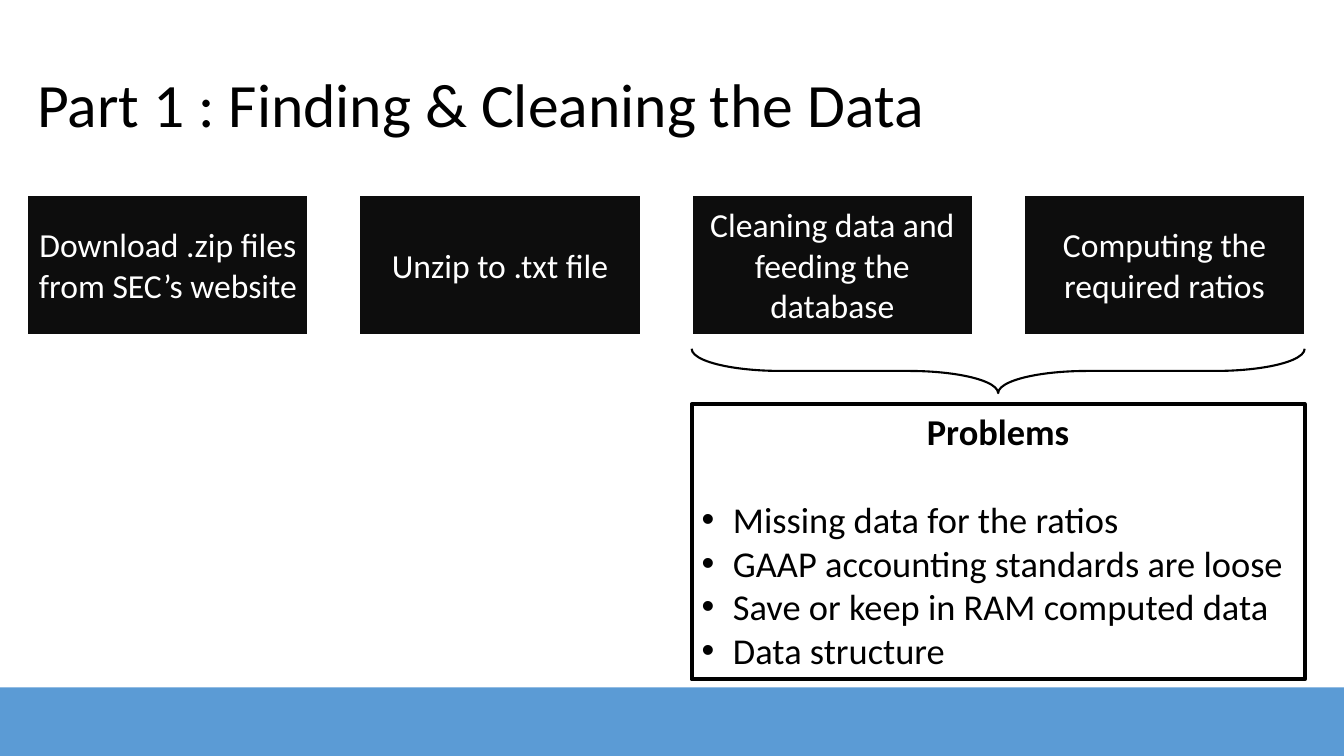
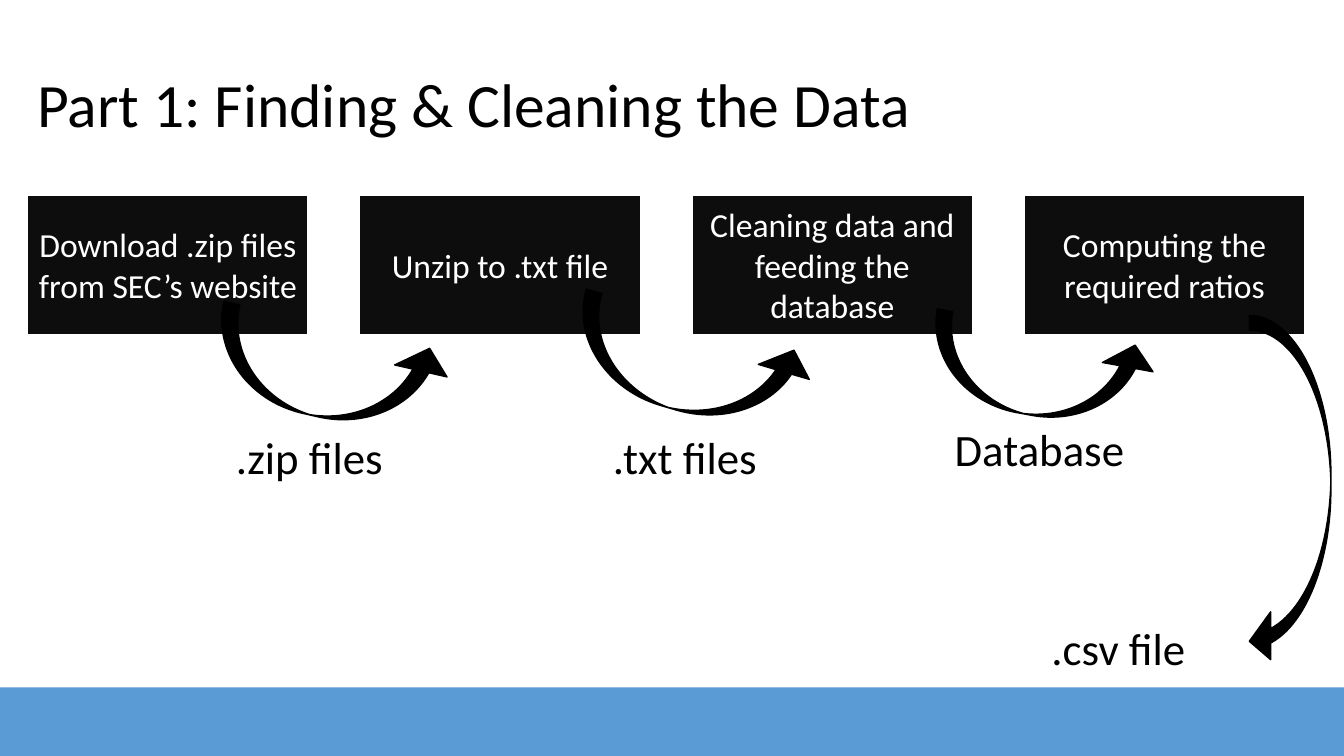
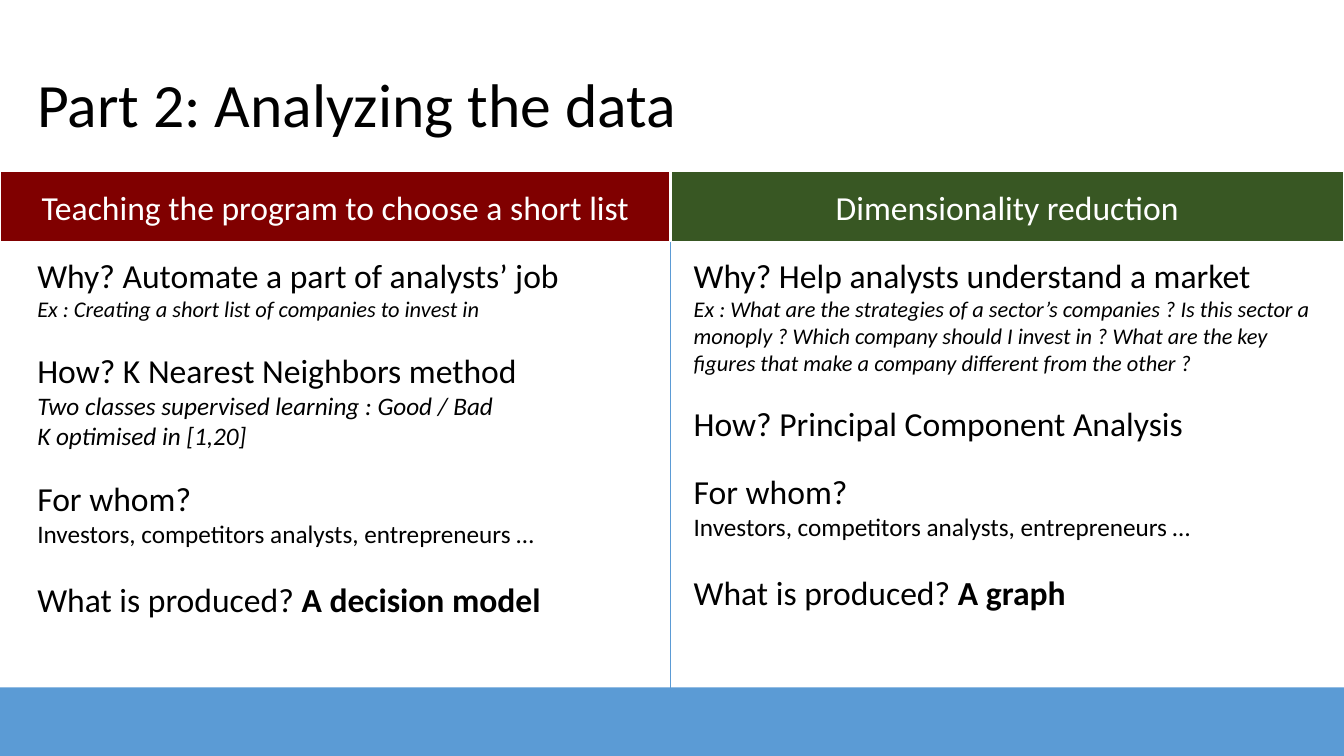
from lxml.etree import SubElement
from pptx import Presentation
from pptx.dml.color import RGBColor
from pptx.enum.shapes import MSO_CONNECTOR, MSO_SHAPE as SHAPE
from pptx.enum.text import MSO_ANCHOR as ANCHOR, MSO_AUTO_SIZE, PP_ALIGN as ALIGN
from pptx.oxml.ns import qn
from pptx.util import Inches, Pt

FONT = "Calibri"
BLACK = RGBColor(0x00, 0x00, 0x00)
WHITE = RGBColor(0xFF, 0xFF, 0xFF)
STEP_BLACK = RGBColor(0x0D, 0x0D, 0x0D)
BLUE = RGBColor(0x5B, 0x9B, 0xD5)
DARK_RED = RGBColor(0x80, 0x00, 0x00)
DARK_GREEN = RGBColor(0x38, 0x57, 0x23)

SLIDE_WIDTH, SLIDE_HEIGHT = 13.33, 7.5
BAND_TOP = 6.82
MARGIN = 0.27


def add_text(frame, text, size=24, color=BLACK, bold=False, italic=False,
             align=ALIGN.LEFT, before=0, line_spacing=1.0, bullet=False, bold_end=""):
    """Write one paragraph, reusing the empty first paragraph of the frame."""
    frame.word_wrap = True
    frame.auto_size = MSO_AUTO_SIZE.NONE
    paragraph = frame.paragraphs[0]
    if paragraph.runs:
        paragraph = frame.add_paragraph()
    properties = paragraph._p.get_or_add_pPr()
    indent = Inches(0.31) if bullet else 0
    properties.set("marL", str(indent))
    properties.set("indent", str(-indent))
    if bullet:
        SubElement(properties, qn("a:buFont")).set("typeface", "Arial")
        SubElement(properties, qn("a:buChar")).set("char", "•")
    else:
        SubElement(properties, qn("a:buNone"))
    paragraph.alignment = align
    paragraph.space_before = Pt(before)
    paragraph.line_spacing = line_spacing
    for part, is_bold in ((text, bold), (bold_end, True)):
        if part:
            run = paragraph.add_run()
            run.text = part
            run.font.name = FONT
            run.font.size = Pt(size)
            run.font.bold = is_bold
            run.font.italic = italic
            run.font.color.rgb = color


def add_filled(slide, kind, left, top, width, height, fill, line=None, line_width=1.5, text=""):
    """Add a flat shape, with centred white text if any."""
    shape = slide.shapes.add_shape(kind, Inches(left), Inches(top), Inches(width), Inches(height))
    shape.shadow.inherit = False
    if fill is None:
        shape.fill.background()
    else:
        shape.fill.solid()
        shape.fill.fore_color.rgb = fill
    if line is None:
        shape.line.fill.background()
    else:
        shape.line.color.rgb = line
        shape.line.width = Pt(line_width)
    if text:
        shape.text_frame.vertical_anchor = ANCHOR.MIDDLE
        add_text(shape.text_frame, text, color=WHITE, align=ALIGN.CENTER)
    return shape


presentation = Presentation()
presentation.slide_width = Inches(SLIDE_WIDTH)
presentation.slide_height = Inches(SLIDE_HEIGHT)

# Shared title and bottom band; layouts: title and content, title only, two content
slides = []
for layout, heading in ((1, "Part 1 : Finding & Cleaning the Data"),
                        (5, "Part 1: Finding & Cleaning the Data"),
                        (3, "Part 2: Analyzing the data")):
    slide = presentation.slides.add_slide(presentation.slide_layouts[layout])
    title = slide.shapes.title
    title.left, title.top = Inches(MARGIN), Inches(0.39)
    title.width, title.height = Inches(11.5), Inches(1.06)
    title.text_frame.vertical_anchor = ANCHOR.BOTTOM
    add_text(title.text_frame, heading, size=44, line_spacing=0.9)
    add_filled(slide, SHAPE.RECTANGLE, 0, BAND_TOP, SLIDE_WIDTH, SLIDE_HEIGHT - BAND_TOP, BLUE)
    slides.append(slide)
problems_slide, files_slide, analysis_slide = slides

# Four process steps on both slides of part 1
STEPS = ("Download .zip files from SEC’s website", "Unzip to .txt file",
         "Cleaning data and feeding the database", "Computing the required ratios")
for slide in (problems_slide, files_slide):
    for index, step in enumerate(STEPS):
        add_filled(slide, SHAPE.RECTANGLE, MARGIN + 3.295 * index, 1.93, 2.79, 1.39,
                   STEP_BLACK, WHITE, text=step)

# Slide 1: brace and problem list
brace = add_filled(problems_slide, SHAPE.LEFT_BRACE, 9.68, 0.64, 0.44, 6.08, None, BLACK)
brace.rotation = 270
brace.adjustments[0] = 2.01

problems = problems_slide.placeholders[1]
problems.left, problems.top = Inches(6.86), Inches(4.01)
problems.width, problems.height = Inches(6.08), Inches(2.73)
problems.line.color.rgb = BLACK
problems.line.width = Pt(3)
add_text(problems.text_frame, "Problems", size=26, bold=True, align=ALIGN.CENTER)
for index, problem in enumerate(("Missing data for the ratios",
                                 "GAAP accounting standards are loose",
                                 "Save or keep in RAM computed data",
                                 "Data structure")):
    add_text(problems.text_frame, problem, size=26, bullet=True, before=0 if index else 31.7)

# Slide 2: curved arrows and the file each step hands on
for left, top, width, height, angle in ((2.09, 3.24, 2.36, 0.91, 12.9),
                                        (5.64, 3.19, 2.41, 0.9, 16.4),
                                        (9.2, 3.26, 2.25, 0.87, 10.4),
                                        (11.06, 4.46, 3.47, 0.81, 270)):
    arrow = add_filled(files_slide, SHAPE.CURVED_UP_ARROW, left, top, width, height,
                       BLACK, BLACK, line_width=1)
    arrow.rotation = angle
    for index, value in enumerate((0.178, 0.586, 0.262)):
        arrow.adjustments[index] = value
    if angle == 270:
        arrow._element.spPr.xfrm.set("flipH", "1")

for label, left, top in ((".zip files", 2.24, 4.21), (".txt files", 5.98, 4.21),
                         ("Database", 9.37, 4.13), (".csv file", 10.33, 6.11)):
    box = files_slide.shapes.add_textbox(Inches(left), Inches(top), Inches(2.28), Inches(0.64))
    add_text(box.text_frame, label, size=32)

# Slide 3: two coloured headings, a divider and two columns
DIVIDER = 6.65
add_filled(analysis_slide, SHAPE.RECTANGLE, 0, 1.7, DIVIDER, 0.7, DARK_RED, WHITE,
           text="Teaching the program to choose a short list")
add_filled(analysis_slide, SHAPE.RECTANGLE, DIVIDER, 1.7, SLIDE_WIDTH - DIVIDER, 0.7,
           DARK_GREEN, WHITE, text="Dimensionality reduction")
divider = analysis_slide.shapes.add_connector(
    MSO_CONNECTOR.STRAIGHT, Inches(DIVIDER), Inches(2.4), Inches(DIVIDER), Inches(7.47))
divider.line.color.rgb = BLUE
divider.line.width = Pt(0.5)
SubElement(divider._element.spPr, qn("a:effectLst"))

EXAMPLE = dict(size=16, italic=True)
DETAIL = dict(size=18, italic=True)
AUDIENCE = dict(size=18)
SECTION = dict(before=19.5)
RESULT = dict(before=22)
COLUMNS = (
    (1, MARGIN, 4.44, (
        ("Why? Automate a part of analysts’ job", {}),
        ("Ex : Creating a short list of companies to invest in", EXAMPLE),
        ("How? K Nearest Neighbors method", SECTION),
        ("Two classes supervised learning : Good / Bad", DETAIL),
        ("K optimised in [1,20]", DETAIL),
        ("For whom?", SECTION),
        ("Investors, competitors analysts, entrepreneurs …", AUDIENCE),
        ("What is produced? ", dict(RESULT, bold_end="A decision model")))),
    (2, 6.78, 4.51, (
        ("Why? Help analysts understand a market", {}),
        ("Ex : What are the strategies of a sector’s companies ? Is this sector a monoply ? "
         "Which company should I invest in ? What are the key figures that make a company "
         "different from the other ?", EXAMPLE),
        ("How? Principal Component Analysis", SECTION),
        ("For whom?", SECTION),
        ("Investors, competitors analysts, entrepreneurs …", AUDIENCE),
        ("What is produced? ", dict(RESULT, bold_end="A graph")))),
)
for number, left, height, lines in COLUMNS:
    column = analysis_slide.placeholders[number]
    column.left, column.top = Inches(left), Inches(2.48)
    column.width, column.height = Inches(6.43), Inches(height)
    for text, style in lines:
        add_text(column.text_frame, text, **style)

presentation.save("out.pptx")
